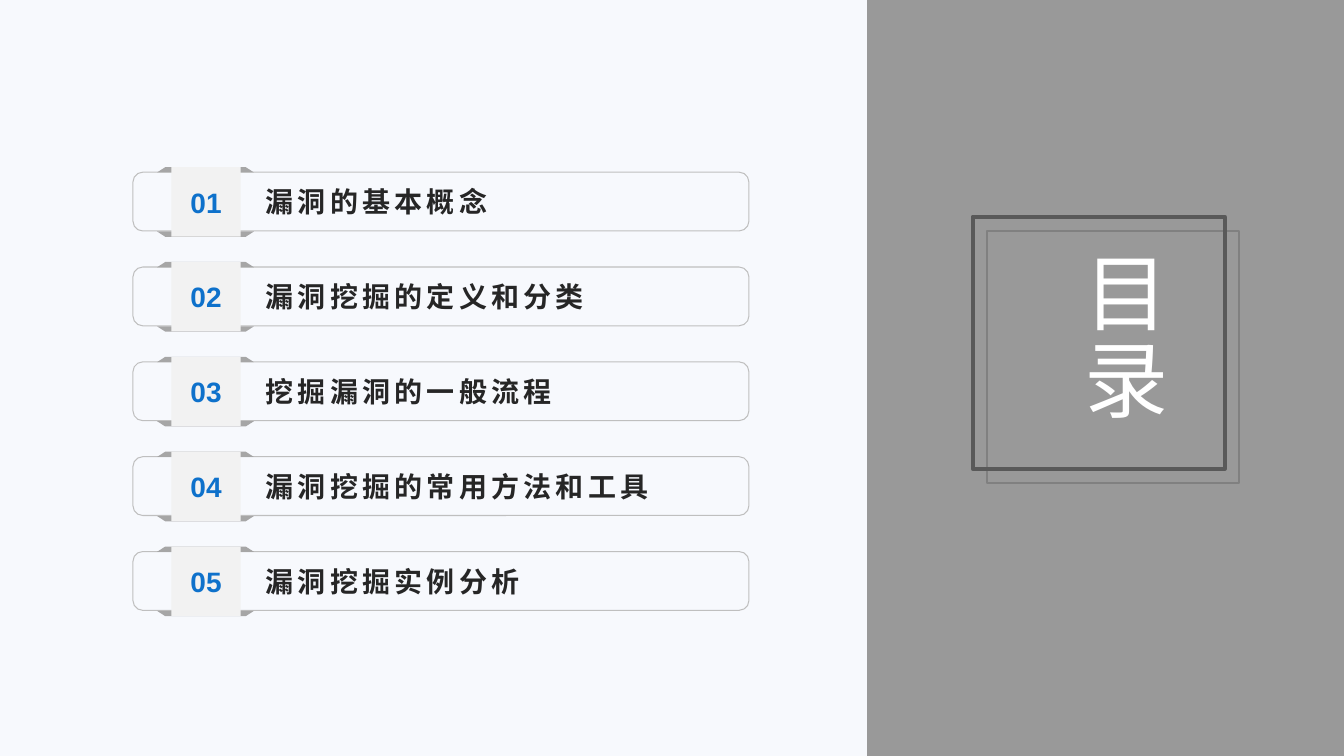
"""Build the contents slide: five numbered chapters beside a vertical title."""
from pptx import Presentation
from pptx.dml.color import RGBColor
from pptx.enum.shapes import MSO_SHAPE as Preset
from pptx.enum.text import MSO_ANCHOR as Anchor, MSO_AUTO_SIZE as AutoSize, PP_ALIGN as Align
from pptx.util import Pt

COLORS = {
    "panel": "999999", "paper": "F7F9FD", "fold": "A6A6A6", "badge": "F2F2F2",
    "outline": "BFBFBF", "number": "0E71CB", "chapter": "262626", "title": "FFFFFF",
    "back_frame": "808080", "front_frame": "595959",
}
CHAPTERS = ["漏洞的基本概念", "漏洞挖掘的定义和分类", "挖掘漏洞的一般流程",
            "漏洞挖掘的常用方法和工具", "漏洞挖掘实例分析"]
FIRST_TOP, PITCH = 119.4, 67.75


def add_shape(preset, left, top, width, height, fill=None, line=None, line_width=0.75):
    shape = slide.shapes.add_shape(preset, Pt(left), Pt(top), Pt(width), Pt(height))
    shape.shadow.inherit = False
    if fill:
        shape.fill.solid()
        shape.fill.fore_color.rgb = RGBColor.from_string(COLORS[fill])
    else:
        shape.fill.background()
    if line:
        shape.line.color.rgb = RGBColor.from_string(COLORS[line])
        shape.line.width = Pt(line_width)
    else:
        shape.line.fill.background()
    return shape


def write_text(shape, text, color, size, align, bold=True, spacing=0):
    frame = shape.text_frame
    frame_format = {"word_wrap": True, "auto_size": AutoSize.NONE, "vertical_anchor": Anchor.MIDDLE}
    for name, value in frame_format.items():
        setattr(frame, name, value)
    paragraph = frame.paragraphs[0]
    paragraph.alignment = align
    run = paragraph.add_run()
    run.text = text
    for name, value in {"name": "Arial", "size": Pt(size), "bold": bold}.items():
        setattr(run.font, name, value)
    run.font.color.rgb = RGBColor.from_string(COLORS[color])
    if spacing:
        run.font._element.set("spc", str(spacing * 100))


presentation = Presentation()
presentation.slide_width, presentation.slide_height = Pt(960), Pt(540)
slide = presentation.slides.add_slide(presentation.slide_layouts[5])

add_shape(Preset.RECTANGLE, 0, 0, 960, 540, "panel")
add_shape(Preset.RECTANGLE, 0, 0, 619.2, 540, "paper")

for index, chapter in enumerate(CHAPTERS):
    top = FIRST_TOP + index * PITCH
    add_shape(Preset.ROUNDED_RECTANGLE, 95, top + 3.6, 440, 42, line="outline")
    for fold_top, flipped in ((top + 46, True), (top, False)):
        fold = add_shape(Preset.TRAPEZOID, 112.2, fold_top, 69.2, 3.8, "fold")
        fold.adjustments[0] = 1.546
        if flipped:
            fold._element.spPr.xfrm.set("flipV", "1")
    badge = add_shape(Preset.RECTANGLE, 122.4, top, 49.6, 49.6, "badge")
    write_text(badge, f"{index + 1:02}", "number", 20, Align.CENTER)
    label = slide.shapes.add_textbox(Pt(182.6), Pt(top + 6), Pt(334), Pt(37.4))
    write_text(label, chapter, "chapter", 20, Align.LEFT, spacing=3)

add_shape(Preset.RECTANGLE, 705, 164.9, 180, 180, line="back_frame", line_width=1.25)
add_shape(Preset.RECTANGLE, 694.8, 154.8, 180, 180, line="front_frame", line_width=2.75)

title = slide.shapes.title
title_place = {"left": 758.9, "top": 175.7, "width": 87.1, "height": 138.2}
for name, value in title_place.items():
    setattr(title, name, Pt(value))
write_text(title, "目录", "title", 60, Align.JUSTIFY, bold=False, spacing=2)
title.text_frame._txBody.bodyPr.set("vert", "eaVert")
slide.shapes._spTree.append(title._element)

presentation.save("out.pptx")
